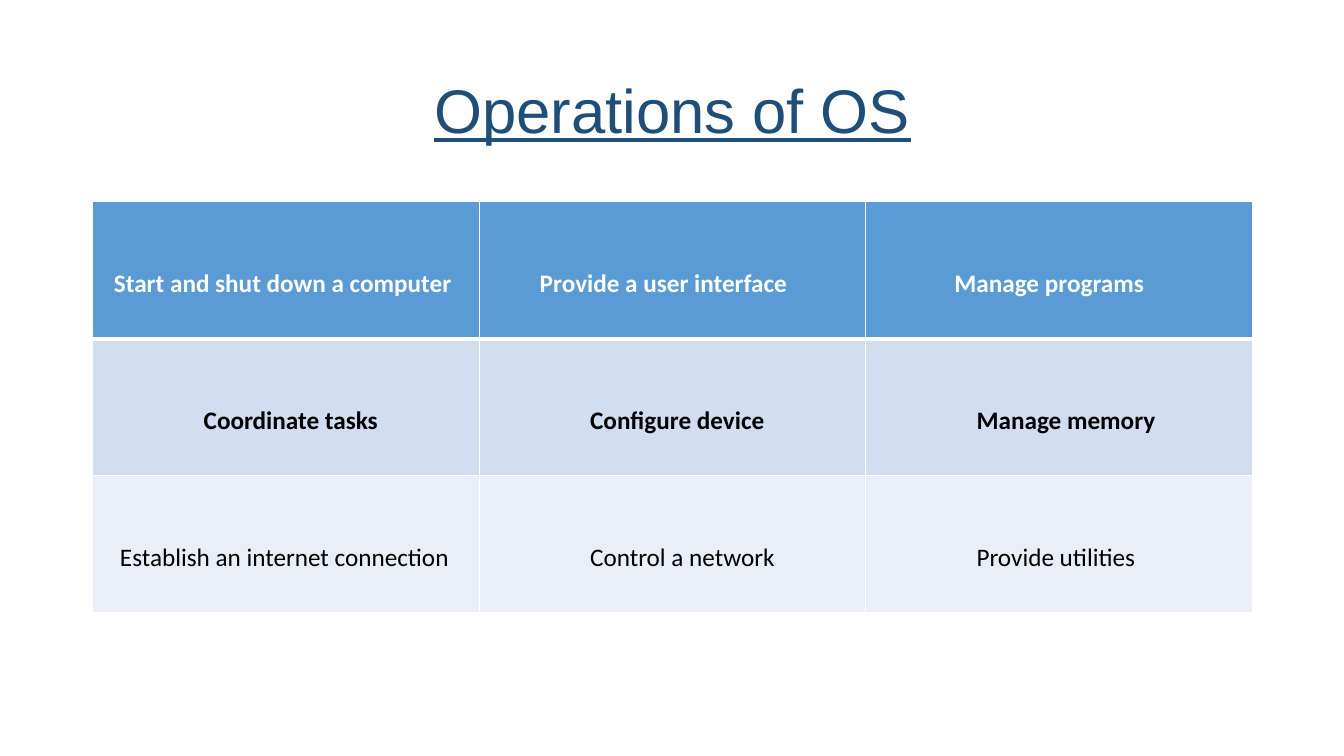
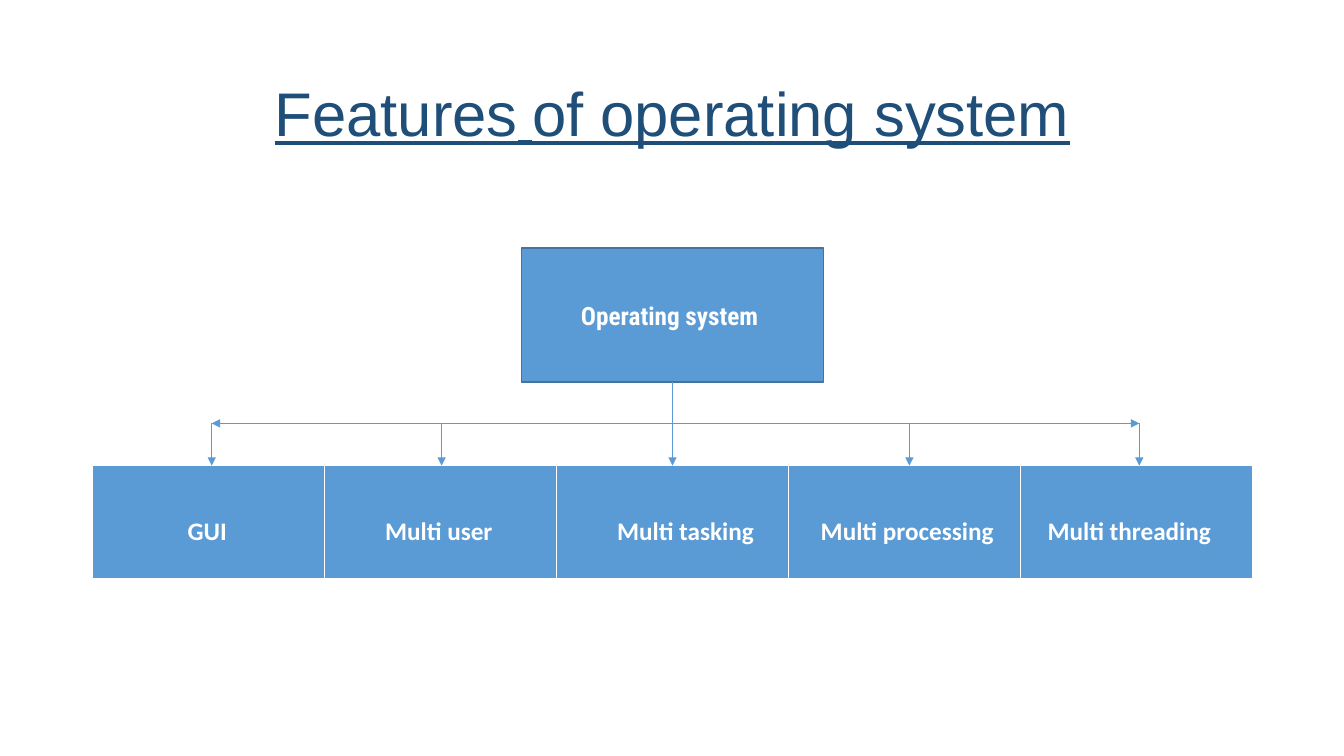
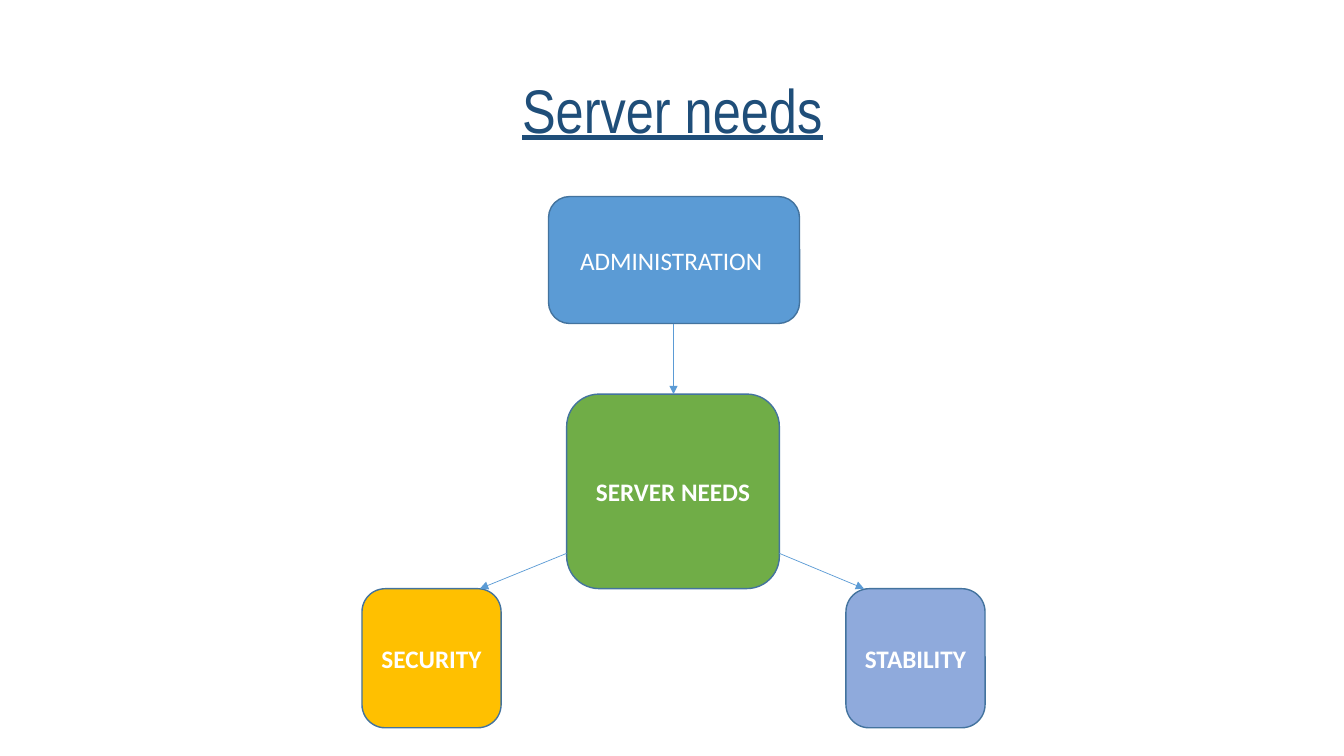
from dataclasses import dataclass
from typing import NamedTuple

from lxml import etree
from pptx import Presentation
from pptx import util as u
from pptx.dml.color import RGBColor
from pptx.enum import shapes, text
from pptx.oxml import ns

EMU_PER_PX = 9144  # 100 px to the inch


@dataclass(frozen=True)
class Theme:
    title: str = "1F4E79"
    blue: str = "5B9BD5"
    outline: str = "43739E"
    green: str = "70AD47"
    gold: str = "FFC000"
    lavender: str = "8FAADC"
    band_dark: str = "D2DEEF"
    band_light: str = "EAEFF7"
    white: str = "FFFFFF"
    black: str = "000000"
    title_font: str = "Arial"
    narrow_font: str = "Arial Narrow"
    body_font: str = "Calibri"
    condensed_font: str = "Roboto Condensed"
    title_size: int = 44
    body_size: int = 18
    thin: float = 0.5
    line: int = 1
    thick: int = 3


THEME = Theme()


class Box(NamedTuple):
    left: float
    top: float
    width: float
    height: float

    def inner(self, left, top, width, height):
        return Box(self.left + left, self.top + top, width, height)

    def emu(self):
        return [px(length) for length in self]


class Row(NamedTuple):
    cells: list  # (text, indent in px) pairs
    fill: str
    color: str
    bold: bool


def px(length):
    return u.Emu(round(length * EMU_PER_PX))


def rgb(color):
    return RGBColor.from_string(color)


def style(span, color, font=THEME.body_font, size=THEME.body_size, bold=False):
    span.font.name = font
    span.font.size = u.Pt(size)
    span.font.bold = bold
    span.font.color.rgb = rgb(color)


def add_title(page, box, spans):
    """Place an underlined title made of (text, font) spans."""
    frame = page.shapes.add_textbox(*box.emu()).text_frame
    frame.word_wrap = True
    frame.vertical_anchor = text.MSO_ANCHOR.MIDDLE
    para = frame.paragraphs[0]
    para.alignment = text.PP_ALIGN.CENTER
    para.line_spacing = 0.9
    for words, font in spans:
        span = para.add_run()
        span.text = words
        style(span, THEME.title, font, THEME.title_size)
        span.font.underline = True


def add_node(page, box, words, fill, rounded=True, bold=True, font=THEME.body_font):
    kind = shapes.MSO_SHAPE.ROUNDED_RECTANGLE if rounded else shapes.MSO_SHAPE.RECTANGLE
    node = page.shapes.add_shape(kind, *box.emu())
    node.shadow.inherit = False
    node.fill.solid()
    node.fill.fore_color.rgb = rgb(fill)
    node.line.color.rgb = rgb(THEME.outline)
    node.line.width = u.Pt(THEME.line)
    frame = node.text_frame
    frame.text = words
    frame.vertical_anchor = text.MSO_ANCHOR.MIDDLE
    para = frame.paragraphs[0]
    para.alignment = text.PP_ALIGN.CENTER
    style(para.runs[0], THEME.white, font, bold=bold)


def add_arrow(page, box, start, end):
    """Draw an arrow between two points given relative to the box."""
    (x1, y1), (x2, y2) = start, end
    arrow = page.shapes.add_connector(
        shapes.MSO_CONNECTOR.STRAIGHT,
        px(box.left + x1), px(box.top + y1), px(box.left + x2), px(box.top + y2))
    arrow.line.color.rgb = rgb(THEME.blue)
    arrow.line.width = u.Pt(THEME.thin)
    etree.SubElement(arrow.line._get_or_add_ln(), ns.qn("a:tailEnd"), type="triangle")
    etree.SubElement(arrow._element.spPr, ns.qn("a:effectLst"))


def set_borders(cell, top, bottom):
    properties = cell._tc.get_or_add_tcPr()
    widths = {"lnL": THEME.line, "lnR": THEME.line, "lnT": top, "lnB": bottom}
    for side, width in widths.items():
        line = etree.SubElement(properties, ns.qn(f"a:{side}"), w=str(u.Pt(width)))
        fill = etree.SubElement(line, ns.qn("a:solidFill"))
        etree.SubElement(fill, ns.qn("a:srgbClr"), val=THEME.white)


def add_grid(page, box, rows, line_spacing):
    """Place an evenly divided table with a thick rule under its first row."""
    count = len(rows[0].cells)
    table = page.shapes.add_table(len(rows), count, *box.emu()).table
    table.first_row = table.horz_banding = False
    for column in table.columns:
        column.width = px(box.width / count)
    for index, row in enumerate(rows):
        table.rows[index].height = px(box.height / len(rows))
        top = THEME.thick if index == 1 else THEME.line
        bottom = THEME.thick if index == 0 else THEME.line
        for cell, (words, indent) in zip(table.rows[index].cells, row.cells):
            set_borders(cell, top, bottom)
            cell.fill.solid()
            cell.fill.fore_color.rgb = rgb(row.fill)
            cell.text = words
            para = cell.text_frame.paragraphs[0]
            para.line_spacing = line_spacing
            para._p.get_or_add_pPr().set("marL", str(px(indent)))
            style(para.runs[0], row.color, bold=row.bold)


def add_feature_tree(page, box):
    """Place a root node, the branching arrows and the row of features."""
    root = box.inner(425, 0, 300, 133)
    features = box.inner(0, 216, box.width, 113)
    center, branch_top = box.width / 2, 174
    drops = [118, 346, 810, 1038]
    add_grid(page, features, [Row(
        [("GUI", 84), ("Multi user", 50), ("Multi tasking", 50),
         ("Multi processing", 22), ("Multi threading", 17)],
        THEME.blue, THEME.white, True)], 2.5)
    add_node(page, root, "Operating system ", THEME.blue, rounded=False,
             font=THEME.condensed_font)
    add_arrow(page, box, (center, root.height), (center, 216))
    for end in (drops[0], drops[-1]):
        add_arrow(page, box, (center, branch_top), (end, branch_top))
    for drop in drops:
        add_arrow(page, box, (drop, branch_top), (drop, 216))


def add_server_diagram(page, box):
    add_node(page, box.inner(185, 0, 249, 126), "ADMINISTRATION ", THEME.blue, bold=False)
    add_node(page, box.inner(0, 389, 138, 138), "SECURITY", THEME.gold)
    add_node(page, box.inner(480, 389, 138, 138), "STABILITY", THEME.lavender)
    add_node(page, box.inner(203, 196, 211, 193), "SERVER NEEDS", THEME.green)
    for start, end in [((309, 126), (309, 196)),
                       ((203, 354), (117, 389)),
                       ((414, 354), (498, 389))]:
        add_arrow(page, box, start, end)


def main():
    deck = Presentation()
    deck.slide_width, deck.slide_height = px(1333), px(750)
    operations, features, needs = [
        deck.slides.add_slide(deck.slide_layouts[6]) for _ in range(3)]
    title_box = Box(92, 40, 1150, 145)

    add_title(operations, title_box, [("Operations of OS", THEME.title_font)])
    add_grid(operations, Box(92, 200, 1150, 408), [
        Row([("Start and shut down a computer", 11), ("Provide a user interface", 50),
             ("Manage programs", 78)], THEME.blue, THEME.white, True),
        Row([("Coordinate tasks", 100), ("Configure device", 100),
             ("Manage memory", 100)], THEME.band_dark, THEME.black, True),
        Row([("Establish an internet connection", 17), ("Control a network", 100),
             ("Provide utilities", 100)], THEME.band_light, THEME.black, False),
    ], 3.0)

    add_title(features, title_box._replace(top=43), [
        ("Features", THEME.title_font), (" ", THEME.body_font),
        ("of operating system", THEME.title_font)])
    add_feature_tree(features, Box(92, 246, 1150, 329))

    add_title(needs, title_box, [("Server needs", THEME.narrow_font)])
    add_server_diagram(needs, Box(359, 195, 618, 527))

    deck.save("out.pptx")


if __name__ == "__main__":
    main()
